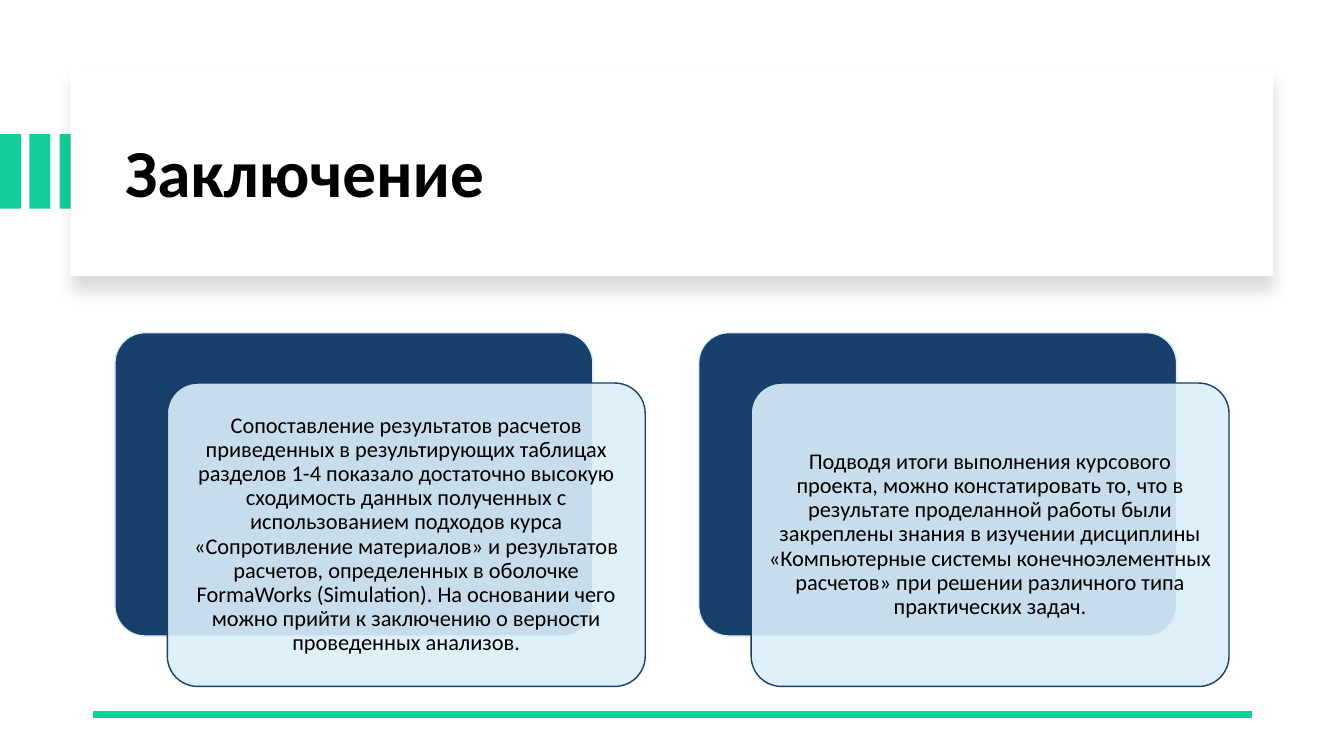
"""Build the conclusion slide with two layered cards."""
from dataclasses import dataclass

from lxml.etree import SubElement
from pptx import Presentation
from pptx.dml.color import RGBColor as Rgb
from pptx.enum.shapes import MSO_CONNECTOR as Link, MSO_SHAPE as Kind
from pptx.enum.text import MSO_ANCHOR as Anchor, MSO_AUTO_SIZE as Fit, PP_ALIGN as Align
from pptx.oxml.ns import qn
from pptx.shapes.autoshape import Shape
from pptx.shapes.shapetree import GroupShapes, SlideShapes
from pptx.text.text import TextFrame
from pptx.util import Emu, Pt

SCALE = 9144


@dataclass(frozen=True)
class Theme:
    green: str = "10CF9B"
    navy: str = "17406D"
    pale: str = "DBEFF9"
    white: str = "FFFFFF"
    black: str = "000000"
    font: str = "Calibri"
    head: float = 48
    body: float = 16
    edge: float = 1
    rule: float = 4.5


@dataclass(frozen=True)
class Box:
    left: int
    top: int
    width: int
    height: int

    def emu(self) -> list[Emu]:
        return [px(n) for n in (self.left, self.top, self.width, self.height)]

    def shift(self, right: int, down: int) -> "Box":
        return Box(self.left + right, self.top + down, self.width, self.height)

    def inset(self, gap: int) -> "Box":
        return Box(self.left + gap, self.top + gap,
                   self.width - 2 * gap, self.height - 2 * gap)


@dataclass(frozen=True)
class Card:
    left: int
    text: str


THEME = Theme()
CARDS = (
    Card(114, "Сопоставление результатов расчетов приведенных в результирующих "
              "таблицах разделов 1-4 показало достаточно высокую сходимость данных "
              "полученных с использованием подходов курса «Сопротивление материалов» "
              "и результатов расчетов, определенных в оболочке FormaWorks (Simulation). "
              "На основании чего можно прийти к заключению о верности проведенных "
              "анализов."),
    Card(693, "Подводя итоги выполнения курсового проекта, можно констатировать то, "
              "что в результате проделанной работы были закреплены знания в изучении "
              "дисциплины «Компьютерные системы конечноэлементных расчетов» при "
              "решении различного типа практических задач."),
)


def px(count: int) -> Emu:
    return Emu(count * SCALE)


def add_box(shapes: SlideShapes | GroupShapes, box: Box, fill: str,
            line: str | None = None) -> Shape:
    shape = shapes.add_shape(Kind.ROUNDED_RECTANGLE if line else Kind.RECTANGLE, *box.emu())
    shape.shadow.inherit = False
    shape.fill.solid()
    shape.fill.fore_color.rgb = Rgb.from_string(fill)
    if line:
        shape.adjustments[0] = 0.1
        shape.line.color.rgb = Rgb.from_string(line)
        shape.line.width = Pt(THEME.edge)
    else:
        shape.line.fill.background()
    return shape


def set_alpha(color, percent: int) -> None:
    SubElement(color, qn("a:alpha"), val=str(percent * 1000))


def add_shade(shape: Shape) -> None:
    effects = shape.element.spPr.find(qn("a:effectLst"))
    shade = SubElement(effects, qn("a:outerShdw"), blurRad=str(Pt(11)),
                       dist=str(Pt(10)), dir="5400000", algn="t", rotWithShape="0")
    set_alpha(SubElement(shade, qn("a:srgbClr"), val=THEME.black), 15)


def set_text(frame: TextFrame, text: str, size: float, align: Align, bold: bool) -> None:
    frame.text = text
    frame.word_wrap = True
    frame.auto_size = Fit.NONE
    frame.vertical_anchor = Anchor.MIDDLE
    par = frame.paragraphs[0]
    par.alignment = align
    par.line_spacing = 0.9
    par.font.name = THEME.font
    par.font.size = Pt(size)
    par.font.bold = bold
    par.font.color.rgb = Rgb.from_string(THEME.black)


def add_card(shapes: SlideShapes, card: Card) -> None:
    group = shapes.add_group_shape().shapes
    back = Box(card.left, 330, 474, 301)
    front = back.shift(52, 50)
    add_box(group, back, THEME.navy, THEME.pale)
    pane = add_box(group, front, THEME.pale, THEME.navy)
    set_alpha(pane.element.spPr.find(qn("a:solidFill"))[0], 90)
    frame = group.add_textbox(*front.inset(9).emu()).text_frame
    frame.margin_left = frame.margin_right = px(7)
    frame.margin_top = frame.margin_bottom = px(7)
    set_text(frame, card.text, THEME.body, Align.CENTER, False)
    frame.paragraphs[0].space_after = Pt(0.35 * THEME.body)


def add_head(shapes: SlideShapes) -> None:
    bars = shapes.add_group_shape().shapes
    for step in range(3):
        add_box(bars, Box(0, 133, 21, 74).shift(step * 59 // 2, 0), THEME.green)
    panel = add_box(shapes, Box(70, 67, 1193, 207), THEME.white)
    add_shade(panel)
    title = shapes.title
    title.left, title.top, title.width, title.height = Box(114, 89, 1113, 170).emu()
    set_text(title.text_frame, "Заключение", THEME.head, Align.LEFT, True)
    panel.element.addnext(title.element)


def add_rule(shapes: SlideShapes) -> None:
    rule = shapes.add_connector(Link.STRAIGHT, px(1242), px(709), px(92), px(709))
    rule.line.color.rgb = Rgb.from_string(THEME.green)
    rule.line.width = Pt(THEME.rule)
    SubElement(rule.element.spPr, qn("a:effectLst"))


def main() -> None:
    deck = Presentation()
    deck.slide_width, deck.slide_height = px(1333), px(750)
    shapes = deck.slides.add_slide(deck.slide_layouts[5]).shapes
    add_head(shapes)
    add_rule(shapes)
    for card in CARDS:
        add_card(shapes, card)
    deck.save("out.pptx")


if __name__ == "__main__":
    main()
